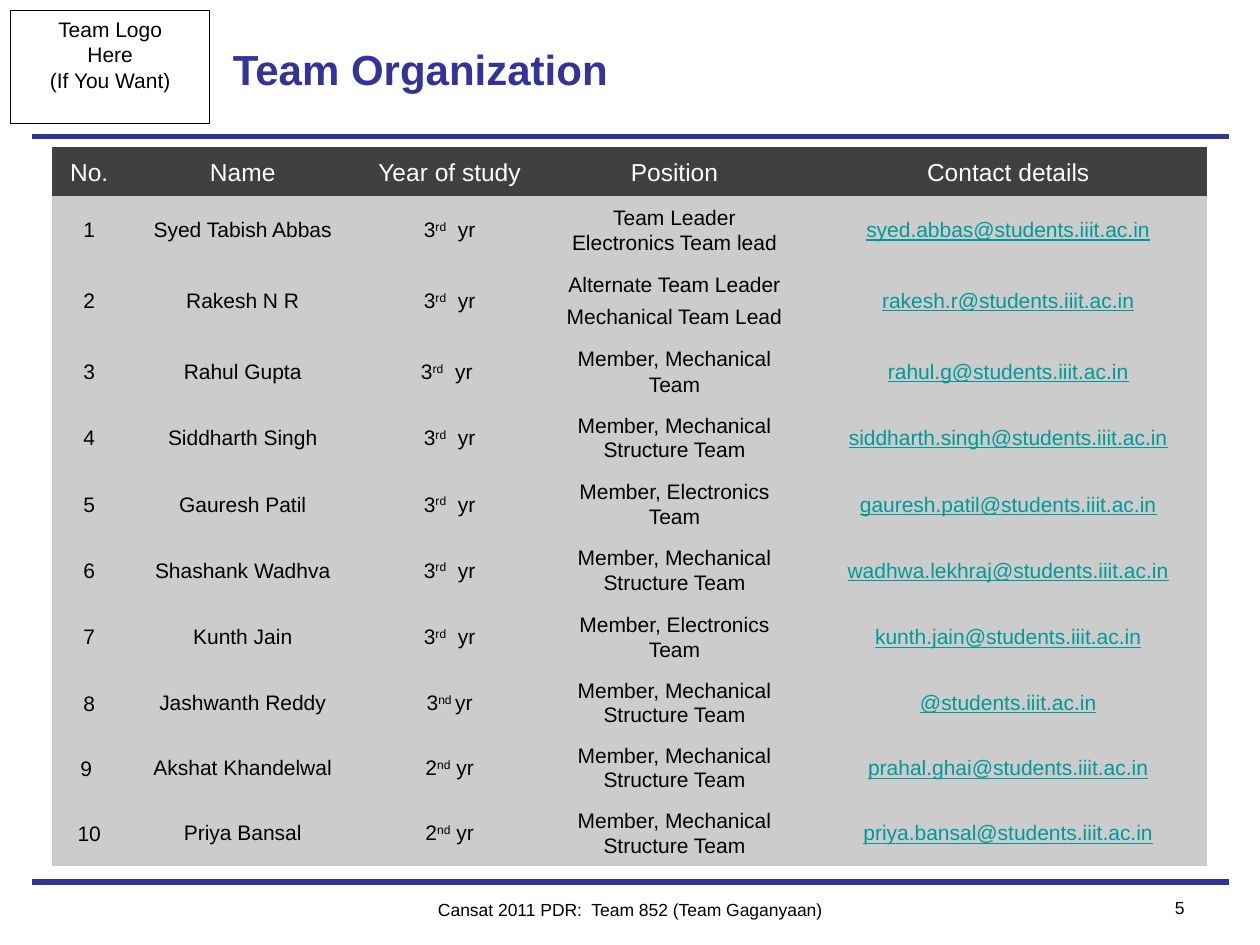
from lxml.etree import SubElement
from pptx import Presentation
from pptx.dml.color import RGBColor
from pptx.enum.shapes import MSO_CONNECTOR, MSO_SHAPE
from pptx.enum.text import MSO_ANCHOR as ANCHOR, PP_ALIGN as ALIGN
from pptx.oxml.ns import qn
from pptx.util import Pt

C = {"navy": "333399", "black": "000000", "white": "FFFFFF",
     "head": "404040", "body": "CCCCCC", "link": "009999"}


def rgb(name):
    return RGBColor.from_string(C[name])


def write(tf, text, size=12, color="black", bold=False, underline=False,
          align=ALIGN.CENTER, spacing=(None,)):
    for i, line in enumerate(text.split("\n")):
        p = tf.paragraphs[0] if i == 0 else tf.add_paragraph()
        p.alignment = align
        p.line_spacing = spacing[min(i, len(spacing) - 1)]
        for j, part in enumerate(line.split("^")):
            r = p.add_run()
            r.text = part
            r.font.name = "Arial"
            r.font.size = Pt(size)
            r.font.bold = bold
            r.font.underline = underline
            r.font.color.rgb = rgb(color)
            if j % 2:
                r.font._element.set("baseline", "30000")


prs = Presentation()
prs.slide_width, prs.slide_height = Pt(720), Pt(540)
s = prs.slides.add_slide(prs.slide_layouts[6])

for y in (504, 78):
    rule = s.shapes.add_connector(MSO_CONNECTOR.STRAIGHT, Pt(18), Pt(y), Pt(702), Pt(y))
    rule.line.color.rgb = rgb("navy")
    rule.line.width = Pt(3)
    SubElement(rule._element.spPr, qn("a:effectLst"))

logo = s.shapes.add_shape(MSO_SHAPE.RECTANGLE, Pt(6), Pt(6), Pt(114), Pt(64.5))
logo.shadow.inherit = False
logo.fill.background()
logo.line.color.rgb = rgb("black")
logo.line.width = Pt(0.5)
logo.text_frame.word_wrap = False
logo.text_frame.vertical_anchor = ANCHOR.TOP
write(logo.text_frame, "Team Logo\nHere\n(If You Want)")

LABELS = [
    ((126, 6, 468, 66), "Team Organization", ANCHOR.MIDDLE,
     dict(size=24, color="navy", bold=True, align=ALIGN.LEFT)),
    ((216, 510, 288, 19.5), "Cansat 2011 PDR:  Team 852 (Team Gaganyaan)", ANCHOR.TOP,
     dict(size=10)),
    ((630, 509, 54, 19.5), "5", ANCHOR.TOP, dict(size=10, align=ALIGN.RIGHT)),
]
for box, text, anchor, style in LABELS:
    tf = s.shapes.add_textbox(*map(Pt, box)).text_frame
    tf.word_wrap = True
    tf.vertical_anchor = anchor
    write(tf, text, **style)

HEADERS = ["No.", "Name", "Year of study", "Position", "Contact details"]
THIRD, SECOND = "3^rd^  yr", "2^nd^ yr"
MECHANICAL = "Member, Mechanical Team"
STRUCTURE = "Member, Mechanical Structure Team"
ELECTRONICS = "Member, Electronics Team"
MEMBERS = [
    ("1", "Syed Tabish Abbas", THIRD, "Team Leader\nElectronics Team lead", "syed.abbas@students.iiit.ac.in"),
    ("2", "Rakesh N R", THIRD, "Alternate Team Leader\nMechanical Team Lead", "rakesh.r@students.iiit.ac.in"),
    ("3", "Rahul Gupta", THIRD + " ", MECHANICAL, "rahul.g@students.iiit.ac.in"),
    ("4", "Siddharth Singh", THIRD, STRUCTURE, "siddharth.singh@students.iiit.ac.in"),
    ("5", "Gauresh Patil", THIRD, ELECTRONICS, "gauresh.patil@students.iiit.ac.in"),
    ("6", "Shashank Wadhva", THIRD, STRUCTURE, "wadhwa.lekhraj@students.iiit.ac.in"),
    ("7", "Kunth Jain", THIRD, ELECTRONICS, "kunth.jain@students.iiit.ac.in"),
    ("8", "Jashwanth Reddy", "3^nd ^yr", STRUCTURE, "@students.iiit.ac.in"),
    ("9 ", "Akshat Khandelwal", SECOND, STRUCTURE, "prahal.ghai@students.iiit.ac.in"),
    ("10", "Priya Bansal", SECOND, STRUCTURE, "priya.bansal@students.iiit.ac.in"),
]
COLS = [42, 133.5, 103, 154, 227.5]
ROWS = [28, 38.2, 42.5, 38, 37.5, 38, 37.5, 38, 37.4, 37.2, 37.2]

table = s.shapes.add_table(len(ROWS), len(COLS), Pt(30), Pt(84), Pt(sum(COLS)), Pt(sum(ROWS))).table
table.horz_banding = False
for col, width in zip(table.columns, COLS):
    col.width = Pt(width)
for row, height in zip(table.rows, ROWS):
    row.height = Pt(height)

for i, values in enumerate([HEADERS] + MEMBERS):
    for j, text in enumerate(values):
        cell = table.cell(i, j)
        cell.vertical_anchor = ANCHOR.MIDDLE
        style = dict(spacing=(1.08,))
        if i == 0:
            style.update(size=14, color="white")
        elif j == 4:
            style.update(color="link", underline=True)
        if j > 0 and values[3] == STRUCTURE:
            style.update(spacing=(1.04,))
        elif text.startswith("Alternate"):
            style.update(spacing=(1.08, 1.39))
        write(cell.text_frame, text, **style)
        tcPr = cell._tc.get_or_add_tcPr()
        for side in ("lnL", "lnR", "lnT", "lnB"):
            ln = SubElement(tcPr, qn("a:" + side), w=str(Pt(0.03)))
            fill = SubElement(ln, qn("a:solidFill"))
            SubElement(fill, qn("a:srgbClr"), val=C["white"])
        cell.fill.solid()
        cell.fill.fore_color.rgb = rgb("body" if i else "head")

prs.save("out.pptx")
